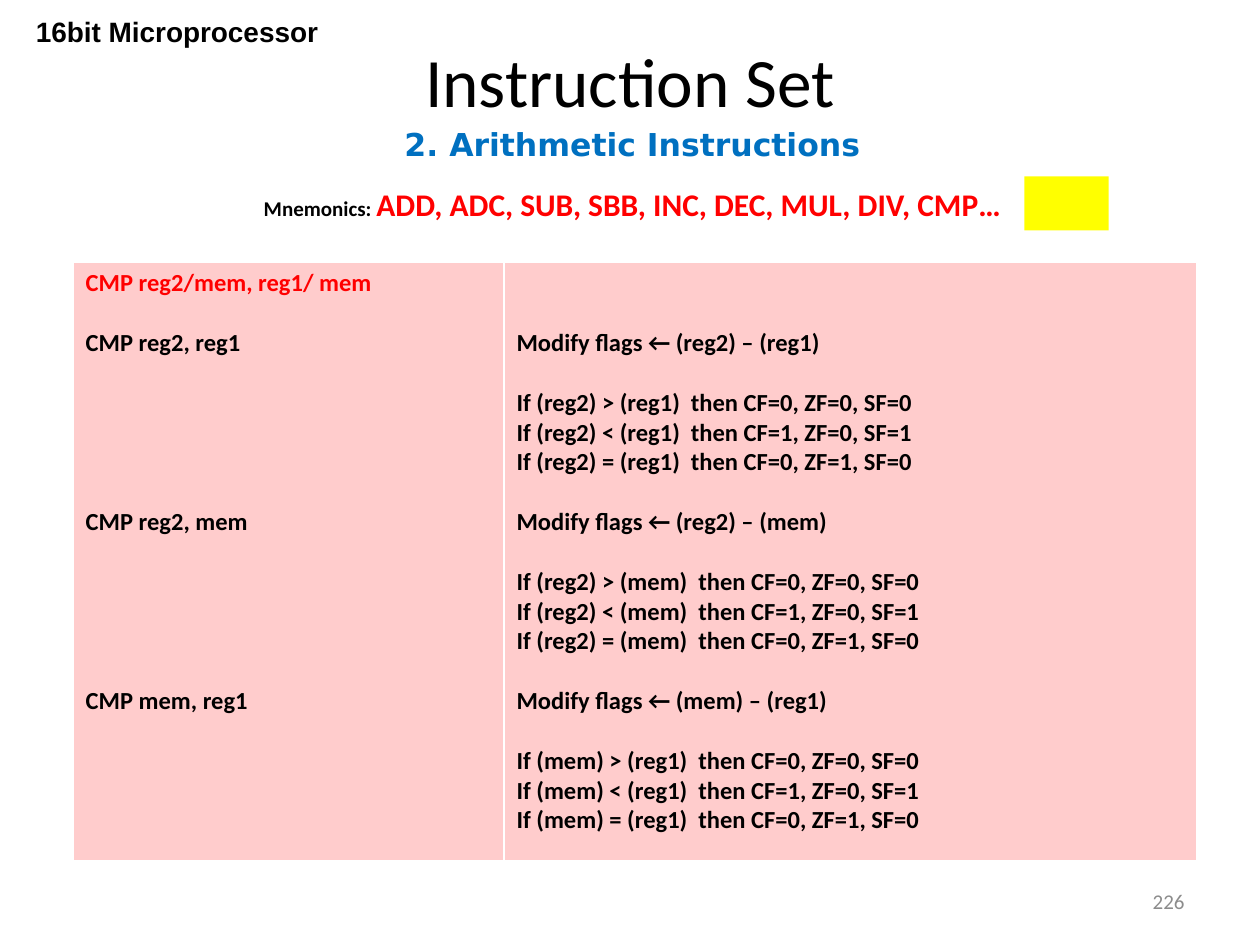
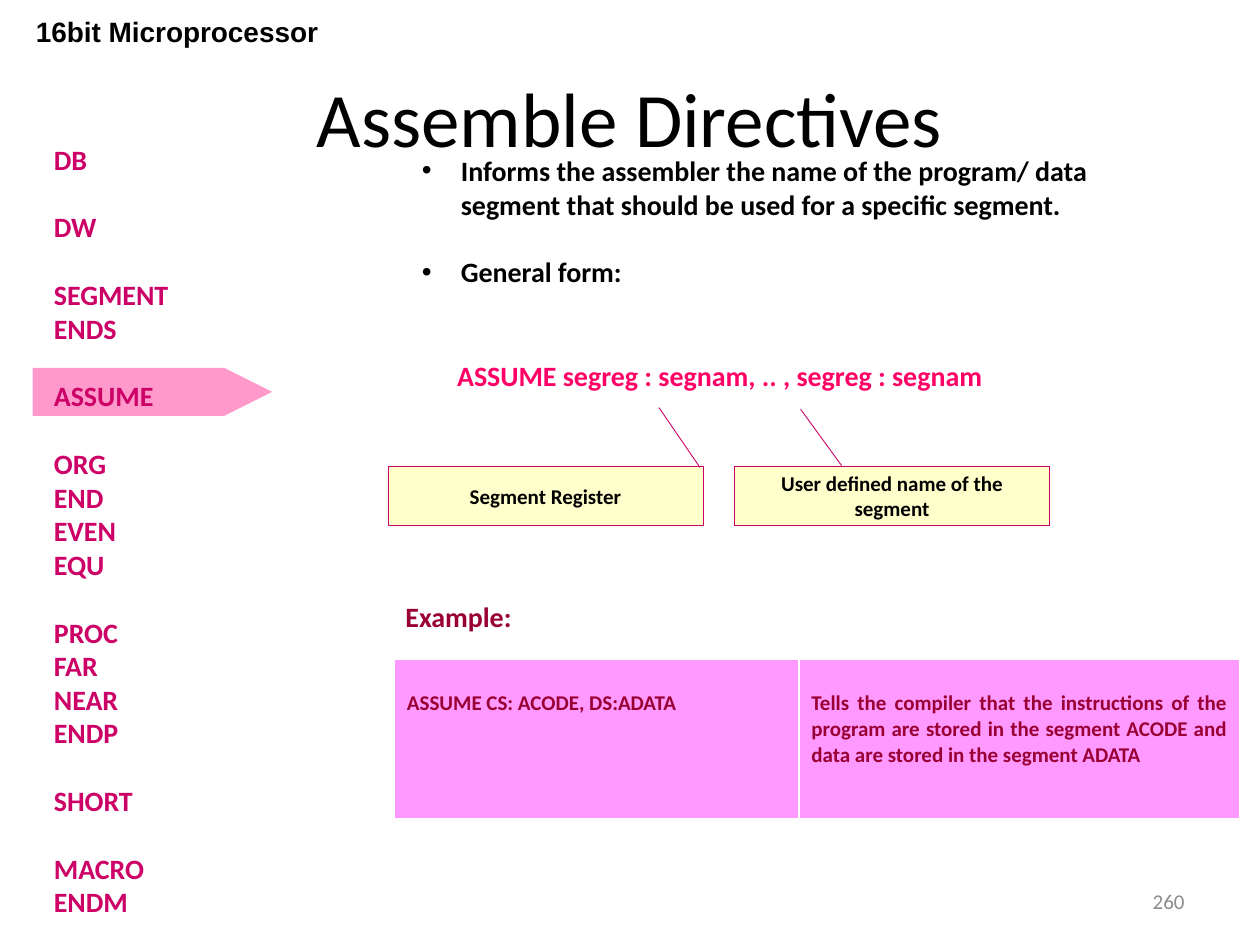
from lxml import etree
from pptx import Presentation
from pptx.dml.color import RGBColor
from pptx.enum import shapes, text
from pptx.oxml.ns import qn
from pptx.util import Inches, Pt

COLORS = {
    "black": "000000", "grey": "8C8C8C", "blue": "0070C0", "red": "FF0000",
    "yellow": "FFFF00", "rose": "FFCCCC", "pink": "FF99CC", "cream": "FFFFCC",
    "magenta": "CC0066", "hot_pink": "FF0066", "maroon": "990033", "orchid": "FF99FF",
}
LINE_HEIGHT = 1.22  # Calibri line pitch relative to its size
ALIGN = text.PP_ALIGN
MIDDLE = text.MSO_ANCHOR.MIDDLE


def rgb(name):
    return RGBColor.from_string(COLORS[name])


def write(frame, paragraphs, size=16, font="Calibri", color="black", bold=True,
          align=ALIGN.LEFT, anchor=text.MSO_ANCHOR.TOP, wrap=True, gaps=(), bullet=None):
    """Fill a frame; a paragraph is a string or a list of (text, size, color) runs.

    gaps holds the number of lines to skip before each paragraph.
    """
    frame.word_wrap = wrap
    frame.vertical_anchor = anchor
    for index, content in enumerate(paragraphs):
        paragraph = frame.paragraphs[0] if index == 0 else frame.add_paragraph()
        if bullet:
            properties = paragraph._p.get_or_add_pPr()
            properties.set("marL", str(Inches(0.31)))
            properties.set("indent", str(Inches(-0.31)))
            etree.SubElement(properties, qn("a:buFont")).set("typeface", "Arial")
            etree.SubElement(properties, qn("a:buChar")).set("char", bullet)
        paragraph.alignment = align
        if index < len(gaps) and gaps[index]:
            paragraph.space_before = Pt(round(gaps[index] * size * LINE_HEIGHT, 1))
        runs = [(content, size, color)] if isinstance(content, str) else content
        for words, run_size, run_color in runs:
            run = paragraph.add_run()
            run.text = words
            run.font.name = font
            run.font.size = Pt(run_size)
            run.font.bold = bold
            run.font.color.rgb = rgb(run_color)


presentation = Presentation()
presentation.slide_width = Inches(10)
presentation.slide_height = Inches(7.5)

# Shared parts: heading, title, slide number
slides = []
for title, title_size, title_height, number in (
    ("Instruction Set", 39.6, 0.67, "226"),
    ("Assemble Directives", 44, 1.25, "260"),
):
    slide = presentation.slides.add_slide(presentation.slide_layouts[6])
    slides.append(slide)
    box = slide.shapes.add_textbox(Inches(0.5), Inches(0.3), Inches(9), Inches(title_height))
    write(box.text_frame, [title], size=title_size, bold=False, align=ALIGN.CENTER, anchor=MIDDLE)
    box = slide.shapes.add_textbox(Inches(7.17), Inches(6.95), Inches(2.33), Inches(0.4))
    write(box.text_frame, [number], size=12, color="grey", bold=False,
          align=ALIGN.RIGHT, anchor=MIDDLE)
    box = slide.shapes.add_textbox(Inches(0.07), Inches(0.07), Inches(2.67), Inches(0.64))
    write(box.text_frame, ["16bit Microprocessor"], font="Arial", align=ALIGN.CENTER)
arithmetic, directives = slides

# Highlight and the two shapes without text
for slide, kind, place, rotation, fill in (
    (arithmetic, shapes.MSO_SHAPE.RECTANGLE, (8.13, 1.4, 0.67, 0.43), 0, "yellow"),
    (directives, shapes.MSO_SHAPE.FLOWCHART_OFFPAGE_CONNECTOR, (1.02, 2.16, 0.38, 1.9), 270, "pink"),
):
    shape = slide.shapes.add_shape(kind, *map(Inches, place))
    shape.shadow.inherit = False
    shape.rotation = rotation
    shape.fill.solid()
    shape.fill.fore_color.rgb = rgb(fill)
    shape.line.fill.background()

# Text boxes of both slides
directive_groups = ("DB", "DW", "SEGMENT ENDS", "ASSUME", "ORG END EVEN EQU",
                    "PROC FAR NEAR ENDP", "SHORT", "MACRO ENDM")
directive_names, directive_gaps = [], []
for group in directive_groups:
    names = group.split()
    directive_gaps += [1 if directive_names else 0] + [0] * (len(names) - 1)
    directive_names += names

for slide, place, paragraphs, style in (
    (arithmetic, (0.29, 0.93, 9.46, 0.43), ["2. Arithmetic Instructions"],
     dict(size=18, font="DejaVu Sans", color="blue", align=ALIGN.CENTER, anchor=MIDDLE)),
    (arithmetic, (0.29, 1.42, 9.46, 0.4),
     [[("Mnemonics: ", 12, "black"),
       ("ADD, ADC, SUB, SBB, INC, DEC, MUL, DIV, CMP…", 18, "red")]],
     dict(align=ALIGN.CENTER)),
    (directives, (0.33, 1.08, 1.63, 6.29), directive_names,
     dict(color="magenta", gaps=directive_gaps)),
    (directives, (3.25, 1.17, 6.17, 1.45),
     ["Informs the assembler the name of the program/ data segment "
      "that should be used for a specific segment.", "General form:"],
     dict(gaps=(0, 1), bullet="•")),
    (directives, (3.53, 2.8, 6.06, 0.37), ["ASSUME segreg : segnam, .. , segreg : segnam"],
     dict(color="hot_pink", wrap=False)),
    (directives, (3.12, 4.71, 1.44, 0.37), ["Example:"], dict(color="maroon", wrap=False)),
):
    box = slide.shapes.add_textbox(*map(Inches, place))
    write(box.text_frame, paragraphs, **style)

# Callouts under the general form
for left, label, pointer in (
    (3.08, "Segment Register", (0.02, 0.99, -0.99, 0.86)),
    (5.83, "User defined name of the segment", (-0.01, 0.34, -0.96, 0.21)),
):
    callout = directives.shapes.add_shape(shapes.MSO_SHAPE.LINE_CALLOUT_1, Inches(left),
                                          Inches(3.7), Inches(2.5), Inches(0.47))
    callout.shadow.inherit = False
    callout.fill.solid()
    callout.fill.fore_color.rgb = rgb("cream")
    callout.line.color.rgb = rgb("magenta")
    callout.line.width = Pt(0.5)
    for index, value in enumerate(pointer):
        callout.adjustments[index] = value
    write(callout.text_frame, [label], size=12, align=ALIGN.CENTER, anchor=MIDDLE)

# Comparison rules: operands on the left, effect on the flags on the right
operations = [[("CMP reg2/mem, reg1/ mem", 14, "red")]]
effects = []
for first, second in (("reg2", "reg1"), ("reg2", "mem"), ("mem", "reg1")):
    operations.append(f"CMP {first}, {second}")
    effects.append(f"Modify flags ← ({first}) – ({second})")
    for sign, carry, zero, negative in ((">", 0, 0, 0), ("<", 1, 0, 1), ("=", 0, 1, 0)):
        effects.append(f"If ({first}) {sign} ({second})  then CF={carry}, ZF={zero}, SF={negative}")

# Tables: each cell has its paragraphs, lines skipped at the top, gaps and alignment
for slide, place, widths, fill, size, color, cells in (
    (arithmetic, (0.58, 2.08, 8.92, 4.75), (3.42, 5.5), "rose", 14, "black",
     ((operations, 0, (0, 1, 5, 5), ALIGN.LEFT),
      (effects, 2, (0, 1, 0, 0) + (1, 1, 0, 0) * 2, ALIGN.LEFT))),
    (directives, (3.13, 5.23, 6.71, 1.27), (3.21, 3.5), "orchid", 12, "maroon",
     ((["ASSUME CS: ACODE, DS:ADATA"], 1, (), ALIGN.LEFT),
      (["Tells the compiler that the instructions of the program are stored in the "
        "segment ACODE and data are stored in the segment ADATA"], 1, (), ALIGN.JUSTIFY))),
):
    table = slide.shapes.add_table(1, 2, *map(Inches, place)).table
    table.horz_banding = False
    for column, (paragraphs, skipped, gaps, align) in enumerate(cells):
        table.columns[column].width = Inches(widths[column])
        cell = table.cell(0, column)
        cell.fill.solid()
        cell.fill.fore_color.rgb = rgb(fill)
        cell.margin_top = Inches(0.05) + Pt(skipped * size * LINE_HEIGHT)
        write(cell.text_frame, paragraphs, size=size, color=color, gaps=gaps, align=align)

presentation.save("out.pptx")
